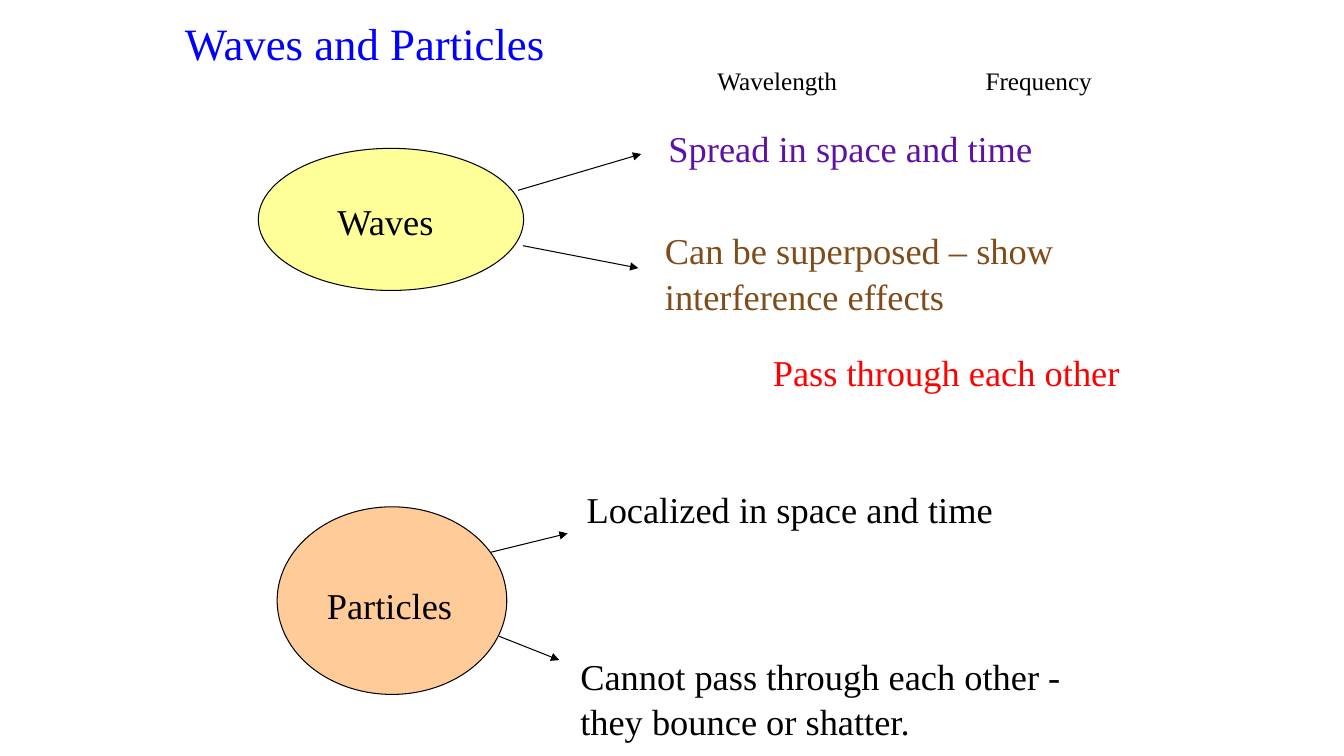
from lxml import etree
from pptx import Presentation
from pptx import util as u
from pptx.dml.color import RGBColor
from pptx.enum import shapes, text
from pptx.oxml.ns import qn

COLORS = {
    "blue": "0000FF", "purple": "5E11A6", "brown": "804C19", "red": "FF0000",
    "black": "000000", "yellow": "FFFF99", "orange": "FFCC99",
}


def color(name):
    return RGBColor.from_string(COLORS[name])


def write(box, place, lines, size, ink):
    """Place a box without margins and fill it with one paragraph per line."""
    box.left, box.top, box.width, box.height = [u.Pt(value) for value in place]
    frame = box.text_frame
    frame.margin_left = frame.margin_top = frame.margin_right = frame.margin_bottom = 0
    frame.vertical_anchor = text.MSO_ANCHOR.TOP
    frame.word_wrap = False
    frame.auto_size = text.MSO_AUTO_SIZE.SHAPE_TO_FIT_TEXT
    frame.text = "\n".join(lines)
    for para in frame.paragraphs:
        para.alignment = text.PP_ALIGN.LEFT
        para.line_spacing = 1.04
        para.space_before = u.Pt(0)
        para.font.name = "Times New Roman"
        para.font.size = u.Pt(size)
        para.font.color.rgb = color(ink)


deck = Presentation()
deck.slide_width, deck.slide_height = u.Pt(960), u.Pt(540)
page = deck.slides.add_slide(deck.slide_layouts[5])

write(page.shapes.title, (132, 9.5, 274.5, 39), ["Waves and Particles"], 32, "blue")

# Ellipses: left, top, width, height, fill
for left, top, width, height, fill in [
    (184.5, 106, 189.5, 101.5, "yellow"),
    (198, 362, 164, 134, "orange"),
]:
    ellipse = page.shapes.add_shape(
        shapes.MSO_SHAPE.OVAL, u.Pt(left), u.Pt(top), u.Pt(width), u.Pt(height))
    ellipse.shadow.inherit = False
    ellipse.fill.solid()
    ellipse.fill.fore_color.rgb = color(fill)
    ellipse.line.color.rgb = color("black")
    ellipse.line.width = u.Pt(0.75)

# Arrows: start x, start y, end x, end y
for ends in [
    (370, 136, 458, 110),
    (373.5, 175.5, 456, 191.5),
    (350.5, 394.5, 405.5, 381),
    (356.5, 454.5, 399.5, 471.5),
]:
    arrow = page.shapes.add_connector(
        shapes.MSO_CONNECTOR.STRAIGHT, *[u.Pt(value) for value in ends])
    arrow.line.color.rgb = color("black")
    arrow.line.width = u.Pt(0.75)
    etree.SubElement(arrow.line._get_or_add_ln(), qn("a:tailEnd"), type="triangle")
    etree.SubElement(arrow._element.spPr, qn("a:effectLst"))

# Labels: left, top, width, size, colour, lines
for left, top, width, size, ink, lines in [
    (477.5, 88.5, 279.5, 26, "purple", ["Spread in space and time"]),
    (512.5, 45.5, 91.5, 18, "black", ["Wavelength"]),
    (704, 45.5, 81.5, 18, "black", ["Frequency"]),
    (475, 162, 302.5, 26, "brown", ["Can be superposed – show", "interference effects"]),
    (552, 248.5, 269.5, 26, "red", ["Pass through each other"]),
    (241, 141, 72, 26, "black", ["Waves"]),
    (233.5, 415, 97, 26, "black", ["Particles"]),
    (419, 347, 307.5, 26, "black", ["Localized in space and time"]),
    (414.5, 466, 369.5, 26, "black",
     ["Cannot pass through each other -", "they bounce or shatter."]),
]:
    label = page.shapes.add_textbox(0, 0, 0, 0)
    write(label, (left, top, width, size * 1.2 * len(lines)), lines, size, ink)

deck.save("out.pptx")
